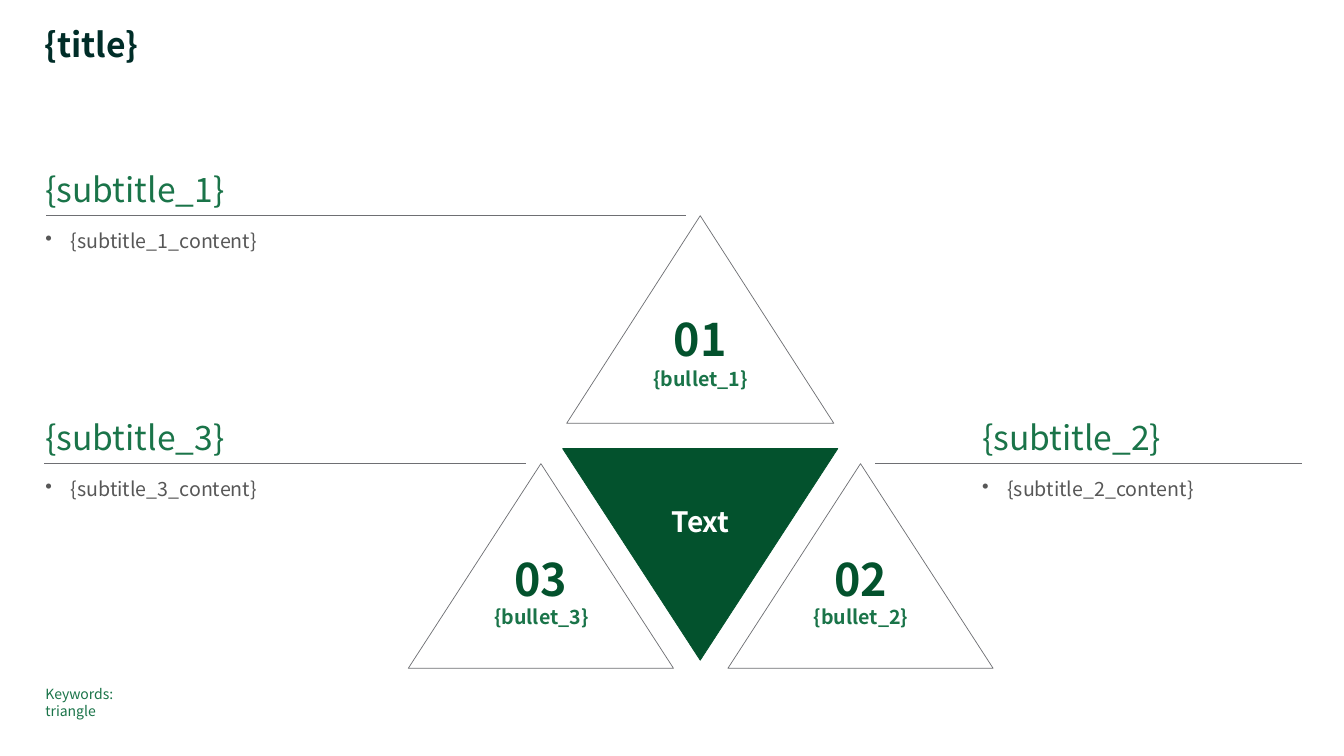
import pptx
import pptx.util
import pptx.dml.color
import pptx.enum.shapes
import pptx.enum.text
import pptx.oxml.ns
import lxml.etree

PX = 9144
FONT = "Noto Sans CJK JP"
HUES = {"ink": "002D28", "deep": "03522D", "green": "1A7449",
        "rule": "6E6F73", "body": "575757", "white": "FFFFFF"}
HUE = {name: pptx.dml.color.RGBColor.from_string(code) for name, code in HUES.items()}
ALIGN = pptx.enum.text.PP_ALIGN
ANCHOR = pptx.enum.text.MSO_ANCHOR
SHAPE = pptx.enum.shapes.MSO_SHAPE
LINK = pptx.enum.shapes.MSO_CONNECTOR

deck = pptx.Presentation()
deck.slide_width = 1333 * PX
deck.slide_height = 750 * PX
slide = deck.slides.add_slide(deck.slide_layouts[6])
shapes = slide.shapes


def write(text, box, size, hue, bold=False, align=ALIGN.LEFT, anchor=ANCHOR.TOP,
          foot=0, space=1.0, bullet=False):
    frame = shapes.add_textbox(*[n * PX for n in box]).text_frame
    frame.word_wrap = True
    frame.margin_left = frame.margin_right = frame.margin_top = 0
    frame.margin_bottom = foot * PX
    frame.vertical_anchor = anchor
    para = frame.paragraphs[0]
    para.text = text
    para.alignment = align
    para.line_spacing = space
    if bullet:
        props = para._p.get_or_add_pPr()
        props.set("marL", str(25 * PX))
        props.set("indent", str(-25 * PX))
        mark = lxml.etree.SubElement(props, pptx.oxml.ns.qn("a:buChar"))
        mark.set("char", "•")
    for run in para.runs:
        run.font.name = FONT
        run.font.size = pptx.util.Pt(size)
        run.font.bold = bold
        run.font.color.rgb = HUE[hue]


def peak(box, hue, fill=None):
    shape = shapes.add_shape(SHAPE.ISOSCELES_TRIANGLE, *[n * PX for n in box])
    shape.shadow.inherit = False
    shape.line.color.rgb = HUE[hue]
    shape.line.width = pptx.util.Pt(0.5)
    if fill:
        shape.fill.solid()
        shape.fill.fore_color.rgb = HUE[fill]
    else:
        shape.fill.background()
    return shape


write("{title}", (44, 28, 1103, 37), 24, "ink", bold=True, space=0.9)

core = peak((558, 445, 273, 210), "deep", fill="deep")
core.rotation = 180
write("Text", (606, 500, 178, 34), 20, "white", bold=True,
      align=ALIGN.CENTER, anchor=ANCHOR.MIDDLE)

peaks = [(1, (562, 214, 265, 206), 308, 364),
         (2, (722, 460, 263, 203), 546, 600),
         (3, (405, 460, 263, 203), 546, 600)]
for num, box, top, low in peaks:
    peak(box, "rule")
    mid = box[0] + (box[2] + 1) // 2
    write(f"{num:02}", (mid - 53, top, 105, 56), 32, "deep", bold=True,
          align=ALIGN.CENTER, anchor=ANCHOR.MIDDLE)
    write(f"{{bullet_{num}}}", (mid - 89, low, 178, 24), 14, "green", bold=True,
          align=ALIGN.CENTER, anchor=ANCHOR.MIDDLE)

notes = [(1, 45, 330, 214, 46, 680),
         (2, 974, 318, 460, 868, 1291),
         (3, 45, 330, 460, 44, 522)]
for num, left, wide, base, start, end in notes:
    write(f"{{subtitle_{num}}}", (left, base - 46, wide, 46), 24, "green",
          anchor=ANCHOR.BOTTOM, foot=6)
    rule = shapes.add_connector(LINK.STRAIGHT, start * PX, base * PX, end * PX, base * PX)
    rule.line.color.rgb = HUE["rule"]
    rule.line.width = pptx.util.Pt(0.5)
    lxml.etree.SubElement(rule._element.spPr, pptx.oxml.ns.qn("a:effectLst"))
    write(f"{{subtitle_{num}_content}}", (left, base + 13, wide, 24), 14, "body",
          bullet=True)

write("Keywords:\vtriangle", (45, 680, 115, 34), 10, "green")

deck.save("out.pptx")
